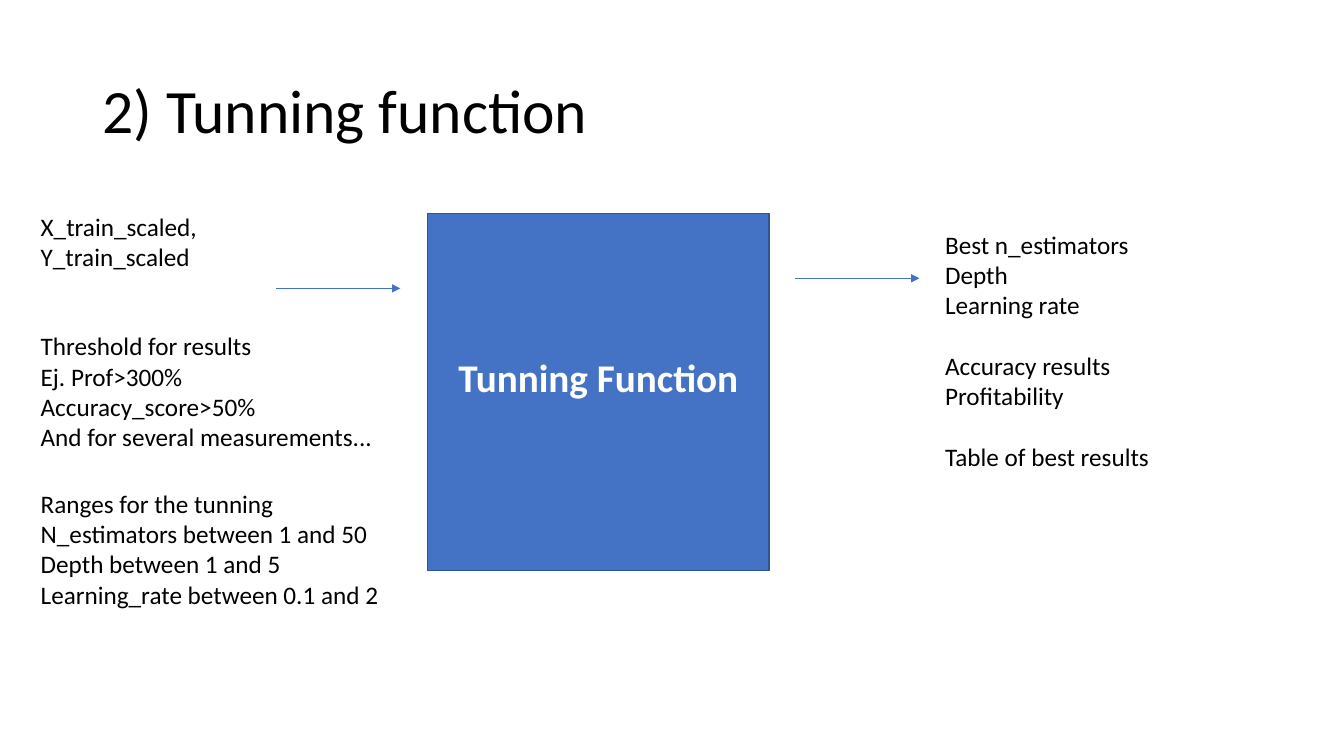
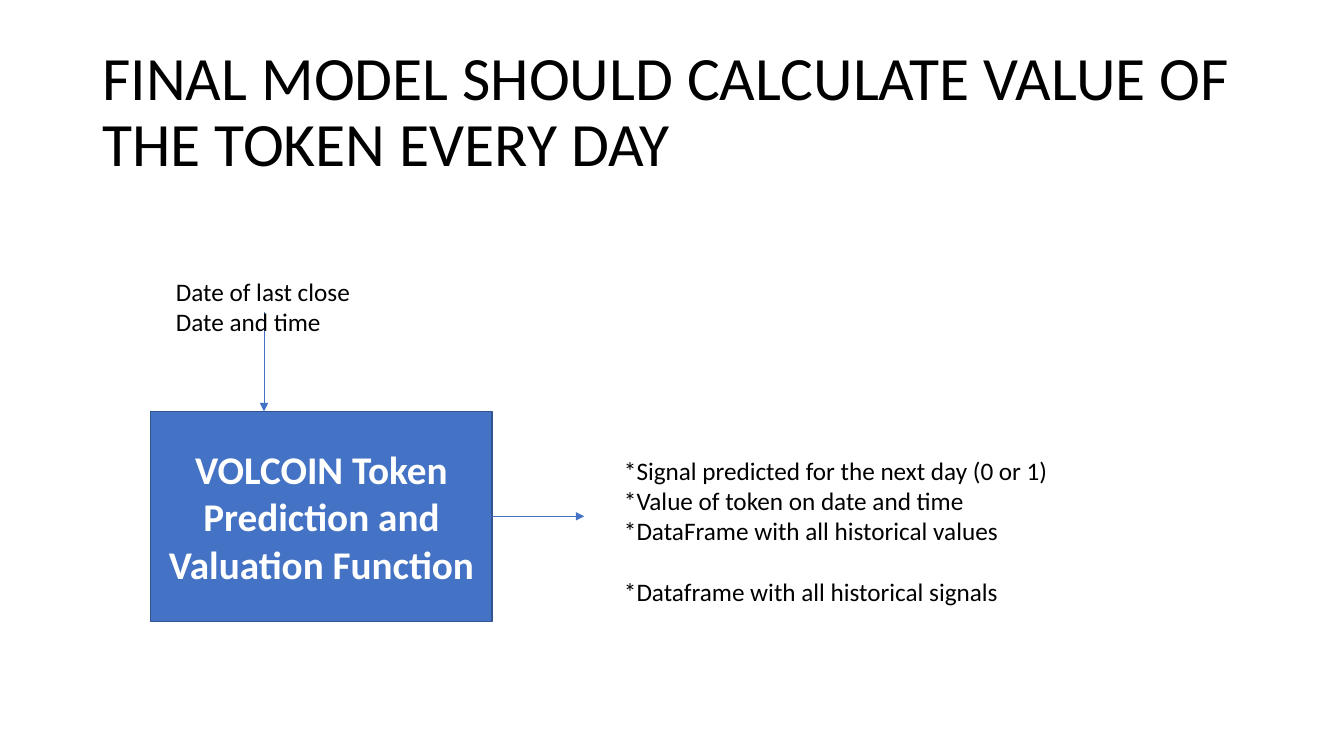
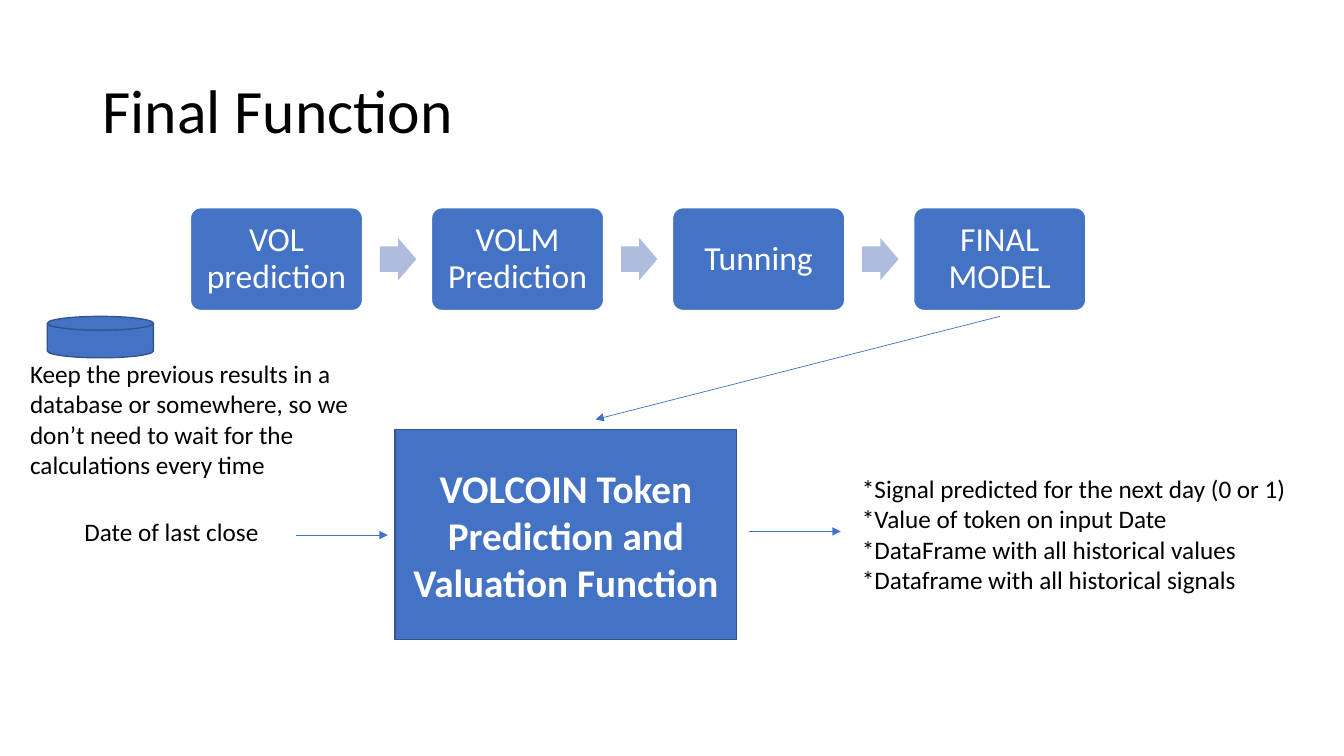
from dataclasses import dataclass
from typing import Optional

from lxml.etree import SubElement
from pptx import Presentation
from pptx.dml.color import RGBColor
from pptx.enum.shapes import MSO_CONNECTOR as Connector, MSO_SHAPE as Preset
from pptx.enum.text import MSO_ANCHOR as Anchor, MSO_AUTO_SIZE as AutoSize, PP_ALIGN as Align
from pptx.oxml.ns import qn
from pptx.shapes.autoshape import Shape
from pptx.slide import Slide
from pptx.text.text import _Paragraph as Paragraph
from pptx.util import Pt

FONT = "Calibri"
BLACK, WHITE = "000000", "FFFFFF"
BLUE, DARK_BLUE, PALE_BLUE = "4472C4", "325491", "B0BCDE"
NOTE_LINE = 22
FUNCTION_WIDTH = 244
TOKEN_FUNCTION = "VOLCOIN Token Prediction and Valuation Function"
TITLE_ONLY = 5


@dataclass(frozen=True)
class Box:
    left: float
    top: float
    width: float
    height: float

    def lengths(self) -> tuple[Pt, Pt, Pt, Pt]:
        return Pt(self.left), Pt(self.top), Pt(self.width), Pt(self.height)


@dataclass(frozen=True)
class Note:
    """Text lines in groups; a line's height separates the groups."""
    box: Box
    groups: tuple[tuple[str, ...], ...]


@dataclass(frozen=True)
class Arrow:
    start: tuple[float, float]
    end: tuple[float, float]


def color(value: str) -> RGBColor:
    return RGBColor.from_string(value)


def format_paragraph(paragraph: Paragraph, size: float, ink: str,
                     align: Align = Align.LEFT, bold: bool = False) -> None:
    paragraph.alignment = align
    font = paragraph.font
    font.name, font.size, font.bold = FONT, Pt(size), bold
    font.color.rgb = color(ink)


def add_titled_slide(presentation: Presentation, text: str) -> Slide:
    slide = presentation.slides.add_slide(presentation.slide_layouts[TITLE_ONLY])
    title = slide.shapes.title
    title.left, title.top, title.width, title.height = Box(66, 28.8, 828, 104.4).lengths()
    frame = title.text_frame
    frame.text = text
    frame.auto_size = AutoSize.NONE
    frame.vertical_anchor = Anchor.MIDDLE
    format_paragraph(frame.paragraphs[0], 44, BLACK)
    frame.paragraphs[0].line_spacing = 0.9
    return slide


def add_notes(slide: Slide, *notes: Note) -> None:
    for note in notes:
        frame = slide.shapes.add_textbox(*note.box.lengths()).text_frame
        frame.word_wrap = True
        frame.text = "\n".join(line for group in note.groups for line in group)
        paragraphs = iter(frame.paragraphs)
        for group_index, group in enumerate(note.groups):
            for line_index in range(len(group)):
                paragraph = next(paragraphs)
                format_paragraph(paragraph, 18, BLACK)
                if group_index and not line_index:
                    paragraph.space_before = Pt(NOTE_LINE)


def add_preset(slide: Slide, preset: Preset, box: Box, fill: str = BLUE,
               outline: Optional[str] = DARK_BLUE) -> Shape:
    shape = slide.shapes.add_shape(preset, *box.lengths())
    shape.shadow.inherit = False
    shape.fill.solid()
    shape.fill.fore_color.rgb = color(fill)
    if outline:
        shape.line.color.rgb = color(outline)
        shape.line.width = Pt(1)
    else:
        shape.line.fill.background()
    return shape


def label(shape: Shape, text: str, size: float, bold: bool = False) -> None:
    frame = shape.text_frame
    frame.text = text
    frame.word_wrap = True
    frame.vertical_anchor = Anchor.MIDDLE
    format_paragraph(frame.paragraphs[0], size, WHITE, Align.CENTER, bold)


def add_function(slide: Slide, text: str, left: float, top: float, height: float = 150) -> Shape:
    shape = add_preset(slide, Preset.RECTANGLE, Box(left, top, FUNCTION_WIDTH, height))
    label(shape, text, 28, bold=True)
    return shape


def add_arrow(slide: Slide, arrow: Arrow, source: Optional[Shape] = None) -> None:
    """Draw an arrow, starting at the right side of source if there is one."""
    connector = slide.shapes.add_connector(
        Connector.STRAIGHT, *(Pt(value) for value in arrow.start + arrow.end))
    if source is not None:
        connector.begin_connect(source, 3)
    connector.line.color.rgb = color(BLUE)
    connector.line.width = Pt(0.5)
    properties = connector._element.spPr
    SubElement(properties.find(qn("a:ln")), qn("a:tailEnd"), type="triangle")
    SubElement(properties, qn("a:effectLst"))


def add_process(slide: Slide, steps: tuple[str, ...]) -> None:
    left, top, width, height, pitch = 136, 148.4, 123, 73.4, 172.2
    arrow_width, arrow_height = 26, 30.2
    for index, step in enumerate(steps):
        step_left = left + index * pitch
        if index:
            arrow_left = step_left - 36.8
            arrow_top = top + (height - arrow_height) / 2
            arrow = add_preset(slide, Preset.RIGHT_ARROW,
                               Box(arrow_left, arrow_top, arrow_width, arrow_height),
                               PALE_BLUE, None)
            arrow.adjustments[0] = 0.6
        shape = add_preset(slide, Preset.ROUNDED_RECTANGLE,
                           Box(step_left, top, width, height), outline=WHITE)
        shape.adjustments[0] = 0.1
        label(shape, step, 24)
        shape.text_frame.paragraphs[0].line_spacing = 0.9


def build_tuning(presentation: Presentation) -> None:
    slide = add_titled_slide(presentation, "2) Tunning function")
    function = add_function(slide, "Tunning Function", 305.4, 152.6, 255)
    function.text_frame.margin_bottom = Pt(3.6 + NOTE_LINE)
    add_arrow(slide, Arrow((197.2, 206), (286, 206)))
    add_arrow(slide, Arrow((568, 198.8), (656.8, 198.8)))
    add_notes(
        slide,
        Note(Box(668, 160, 183, 181), (
            ("Best n_estimators", "Depth", "Learning rate"),
            ("Accuracy results", "Profitability"),
            ("Table of best results",))),
        Note(Box(22, 147.4, 183, 51), (("X_train_scaled, Y_train_scaled",),)),
        Note(Box(22, 232.6, 274, 94), ((
            "Threshold for results", "Ej. Prof>300%", "Accuracy_score>50%",
            "And for several measurements..."),)),
        Note(Box(22, 345.2, 264, 94), ((
            "Ranges for the tunning", "N_estimators between 1 and 50",
            "Depth between 1 and 5", "Learning_rate between 0.1 and 2"),)))


def build_daily_value(presentation: Presentation) -> None:
    slide = add_titled_slide(
        presentation, "FINAL MODEL SHOULD CALCULATE VALUE OF THE TOKEN EVERY DAY")
    function = add_function(slide, TOKEN_FUNCTION, 107.6, 293.8)
    add_arrow(slide, Arrow((351.6, 368.8), (417.4, 368.8)), function)
    add_arrow(slide, Arrow((188.6, 223.2), (188.6, 293.8)))
    add_notes(
        slide,
        Note(Box(438.6, 321.4, 358, 116), (
            ("*Signal predicted for the next day (0 or 1)",
             "*Value of token on date and time",
             "*DataFrame with all historical values"),
            ("*Dataframe with all historical signals",))),
        Note(Box(118.6, 193.6, 222, 51), (("Date of last close", "Date and time"),)))


def build_final_function(presentation: Presentation) -> None:
    slide = add_titled_slide(presentation, "Final Function")
    add_process(slide, ("VOL prediction", "VOLM Prediction", "Tunning", "FINAL MODEL"))
    add_function(slide, TOKEN_FUNCTION, 282.2, 306.8)
    for arrow in (Arrow((535, 379.6), (600.6, 379.6)),
                  Arrow((211.2, 382.2), (277, 382.2)),
                  Arrow((714.2, 226), (425.4, 299.6))):
        add_arrow(slide, arrow)
    add_notes(
        slide,
        Note(Box(53.2, 365, 148, 29), (("Date of last close",),)),
        Note(Box(608.6, 334.6, 358, 116), ((
            "*Signal predicted for the next day (0 or 1)",
            "*Value of token on input Date",
            "*DataFrame with all historical values",
            "*Dataframe with all historical signals"),)),
        Note(Box(14.4, 252.6, 249, 94), ((
            "Keep the previous results in a database or somewhere, so we don’t "
            "need to wait for the calculations every time",),)))
    add_preset(slide, Preset.FLOWCHART_MAGNETIC_DISK, Box(33.8, 226, 75.8, 29.6))


def main() -> None:
    presentation = Presentation()
    presentation.slide_width, presentation.slide_height = Pt(960), Pt(540)
    build_tuning(presentation)
    build_daily_value(presentation)
    build_final_function(presentation)
    presentation.save("out.pptx")


if __name__ == "__main__":
    main()
